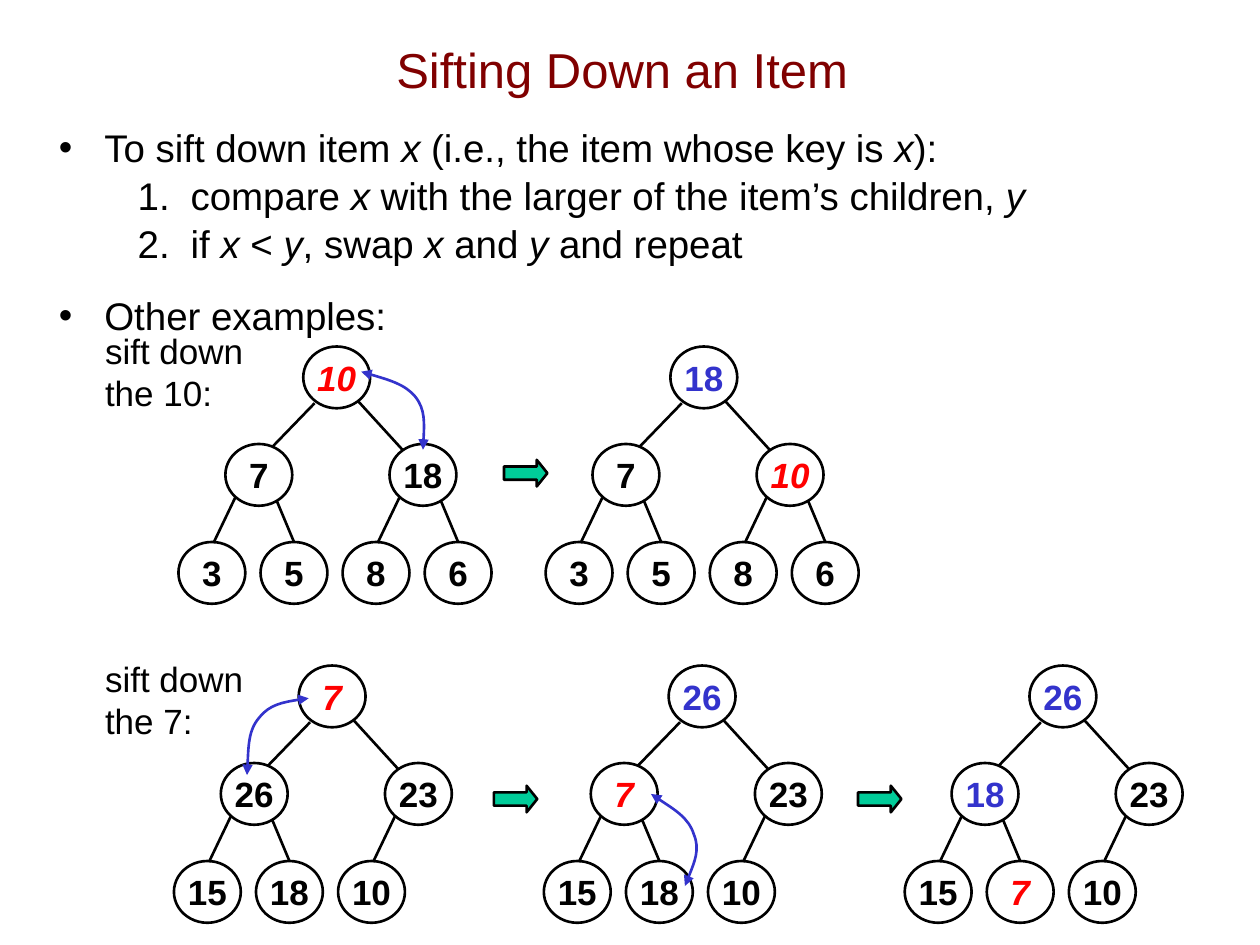
from lxml.etree import SubElement
from pptx import Presentation
from pptx.dml.color import RGBColor
from pptx.enum.shapes import MSO_CONNECTOR, MSO_SHAPE
from pptx.enum.text import MSO_ANCHOR, PP_ALIGN
from pptx.oxml.ns import qn
from pptx.util import Pt

BLACK, RED, BLUE, GREEN, MAROON = "000000", "FF0000", "3333CC", "00CC99", "800000"
NODE_WIDTH, NODE_HEIGHT = 38.2, 35.3
LEAF_STEP, SUBTREE_STEP = 46.9, 93.8
LEVELS = (0, 55.7, 111.7)
ROOT_X, CHILD_X = 71.3, 26.8


def color(value):
    return RGBColor.from_string(value)


def add_run(paragraph, text, size, rgb=BLACK, bold=False, italic=False):
    run = paragraph.add_run()
    run.text = text
    font = run.font
    font.name, font.size, font.bold, font.italic = "Arial", Pt(size), bold, italic
    font.color.rgb = color(rgb)


def style_line(line, rgb=BLACK):
    line.color.rgb = color(rgb)
    line.width = Pt(1.5)


def set_insets(frame, horizontal, vertical):
    frame.margin_left = frame.margin_right = Pt(horizontal)
    frame.margin_top = frame.margin_bottom = Pt(vertical)


def add_title(slide, left, top, width, height):
    title = slide.shapes.title
    title.left, title.top, title.width, title.height = map(Pt, (left, top, width, height))
    title.text_frame.vertical_anchor = MSO_ANCHOR.MIDDLE
    paragraph = title.text_frame.paragraphs[0]
    paragraph.alignment = PP_ALIGN.CENTER
    add_run(paragraph, "Sifting Down an Item", 28, MAROON)


def add_list(slide, left, top, width, height, items):
    frame = slide.shapes.add_textbox(*map(Pt, (left, top, width, height))).text_frame
    frame.word_wrap = True
    set_insets(frame, 7.2, 3.6)
    for index, (numbered, parts) in enumerate(items):
        paragraph = frame.paragraphs[0] if index == 0 else frame.add_paragraph()
        paragraph.line_spacing = 1.04
        paragraph.space_before = Pt(0 if numbered or index == 0 else 14)
        properties = paragraph._p.get_or_add_pPr()
        margin, indent = (75.3, -30.3) if numbered else (26, -26)
        properties.set("marL", str(Pt(margin)))
        properties.set("indent", str(Pt(indent)))
        SubElement(properties, qn("a:buFont"), typeface="Arial")
        if numbered:
            SubElement(properties, qn("a:buAutoNum"), type="arabicPeriod")
        else:
            SubElement(properties, qn("a:buChar"), char="•")
        for text in parts:
            add_run(paragraph, text, 22, italic=text in ("x", "y"))


def add_label(slide, left, top, text):
    frame = slide.shapes.add_textbox(Pt(left), Pt(top), Pt(90), Pt(47)).text_frame
    frame.word_wrap = True
    set_insets(frame, 0, 0)
    paragraph = frame.paragraphs[0]
    add_run(paragraph, "sift down", 20)
    paragraph.add_line_break()
    add_run(paragraph, text, 20)


def add_node(slide, left, top, key, rgb):
    node = slide.shapes.add_shape(
        MSO_SHAPE.OVAL, Pt(left), Pt(top), Pt(NODE_WIDTH), Pt(NODE_HEIGHT))
    node.shadow.inherit = False
    node.fill.background()
    style_line(node.line)
    frame = node.text_frame
    frame.word_wrap = False
    frame.vertical_anchor = MSO_ANCHOR.MIDDLE
    set_insets(frame, 0, 0)
    frame.paragraphs[0].alignment = PP_ALIGN.CENTER
    add_run(frame.paragraphs[0], str(key), 20, rgb, bold=True, italic=rgb == RED)


def add_edge(slide, left, top, start, end):
    edge = slide.shapes.add_connector(
        MSO_CONNECTOR.STRAIGHT, Pt(left + start[0]), Pt(top + start[1]),
        Pt(left + end[0]), Pt(top + end[1]))
    style_line(edge.line)
    SubElement(edge._element.spPr, qn("a:effectLst"))


def add_tree(slide, left, top, keys, colors):
    positions = [(ROOT_X, LEVELS[0])]
    positions += [(CHILD_X + i * SUBTREE_STEP, LEVELS[1]) for i in range(2)]
    positions += [(i * LEAF_STEP, LEVELS[2]) for i in range(4)]
    for index, ((x, y), key) in enumerate(zip(positions, keys)):
        add_node(slide, left + x, top + y, key, colors.get(index, BLACK))

    add_edge(slide, left, top, (77.8, 32.4), (54, 57))
    add_edge(slide, left, top, (102.6, 31.2), (128, 59))
    for leaf in range(len(keys) - 3):
        subtree, side = divmod(leaf, 2)
        start, end = ((56, 87.8), (66, 111.7)) if side else ((32.4, 86.4), (20, 112.3))
        add_edge(slide, left + subtree * SUBTREE_STEP, top, start, end)


def add_swap(slide, left, top, points):
    places = [(Pt(left + x), Pt(top + y)) for x, y in points]
    builder = slide.shapes.build_freeform(*places[0])
    builder.add_line_segments(places[1:], close=False)
    swap = builder.convert_to_shape()
    swap.shadow.inherit = False
    swap.fill.background()
    style_line(swap.line, BLUE)
    outline = swap._element.spPr.find(".//" + qn("a:path"))
    segments = outline.findall(qn("a:lnTo"))
    for index, segment in enumerate(segments):
        if index % 3 == 0:
            curve = SubElement(outline, qn("a:cubicBezTo"))
        curve.append(segment[0])
        outline.remove(segment)
    line = swap.line._get_or_add_ln()
    for end in ("a:headEnd", "a:tailEnd"):
        SubElement(line, qn(end), type="triangle", w="med", len="med")


def add_step_arrow(slide, left, top):
    arrow = slide.shapes.add_shape(
        MSO_SHAPE.RIGHT_ARROW, Pt(left), Pt(top), Pt(24.8), Pt(15.2))
    arrow.adjustments[0], arrow.adjustments[1] = 0.5, 0.4
    arrow.shadow.inherit = False
    arrow.fill.solid()
    arrow.fill.fore_color.rgb = color(GREEN)
    style_line(arrow.line)


def add_first_example(slide, left, top):
    add_label(slide, left, top, "the 10:")
    tree_top = top + 9.5
    add_tree(slide, left + 42, tree_top, (10, 7, 18, 3, 5, 8, 6), {0: RED})
    add_tree(slide, left + 251.8, tree_top, (18, 7, 10, 3, 5, 8, 6), {0: BLUE, 2: RED})
    add_swap(slide, left + 42, tree_top, [
        (104.4, 14.4), (116.6, 18), (129.6, 21.6), (135.4, 28.8),
        (141.1, 36), (140.4, 47.5), (139.7, 59)])
    add_step_arrow(slide, left + 228, top + 74.3)


def add_second_example(slide, left, top):
    add_label(slide, left, top, "the 7:")
    tree_top = top + 4.3
    trees = (
        (39.4, (7, 26, 23, 15, 18, 10), {0: RED}),
        (250.8, (26, 7, 23, 15, 18, 10), {0: BLUE, 1: RED}),
        (457, (26, 18, 23, 15, 7, 10), {0: BLUE, 1: BLUE, 4: RED}),
    )
    for x, keys, colors in trees:
        add_tree(slide, left + x, tree_top, keys, colors)
    add_swap(slide, left + 39.4, tree_top, [
        (41.8, 62.6), (42.5, 49.7), (42.5, 36.7), (49, 29.5),
        (54.7, 22.3), (65.5, 20.2), (77, 18.7)])
    add_swap(slide, left + 250.8, tree_top, [
        (61.2, 73.4), (72, 80.6), (82.8, 87.1), (85.7, 96.5),
        (89.3, 105.1), (85, 115.2), (80.6, 126)])
    for x in (222.2, 430.3):
        add_step_arrow(slide, left + x, top + 73)


def main():
    presentation = Presentation()
    presentation.slide_width, presentation.slide_height = Pt(720), Pt(540)
    slide = presentation.slides.add_slide(presentation.slide_layouts[5])
    add_title(slide, 46, 6, 619, 67)
    add_list(slide, 26.6, 66.2, 693, 125, [
        (False, ("To sift down item ", "x", " (i.e., the item whose key is ", "x", "):")),
        (True, ("compare ", "x", " with the larger of the item’s children, ", "y")),
        (True, ("if ", "x", " < ", "y", ", swap ", "x", " and ", "y", " and repeat")),
        (False, ("Other examples:",)),
    ])
    add_first_example(slide, 60, 188.5)
    add_second_example(slide, 60, 376)
    presentation.save("out.pptx")


if __name__ == "__main__":
    main()
